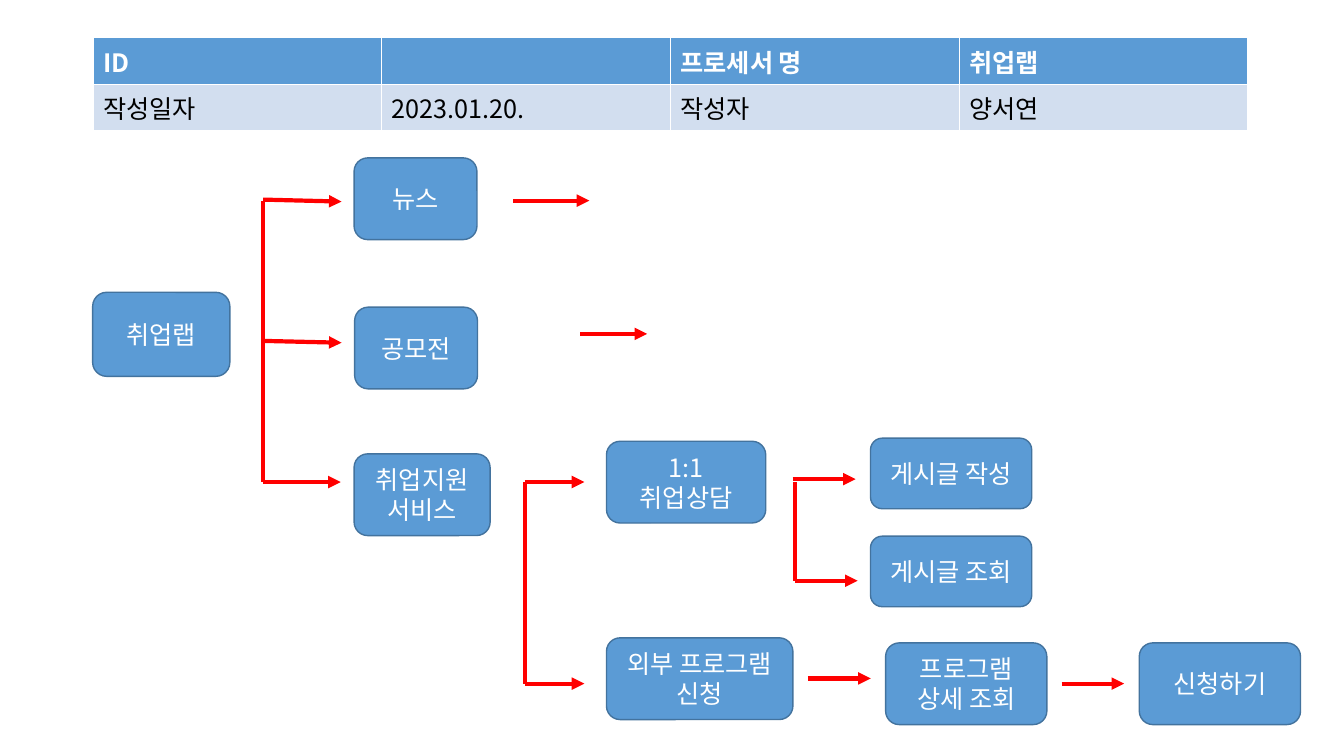
"""Build the process flow slide of a job support site."""
import dataclasses

import lxml.etree
import pptx
import pptx.dml.color
import pptx.enum.shapes
import pptx.enum.text
import pptx.oxml.ns
import pptx.util

Pt = pptx.util.Pt
qn = pptx.oxml.ns.qn


@dataclasses.dataclass(frozen=True)
class Theme:
    font: str = "Noto Sans CJK KR"
    size: int = 18
    blue: str = "5B9BD5"
    edge: str = "43739E"
    pale: str = "D2DEEF"
    white: str = "FFFFFF"
    black: str = "000000"
    red: str = "FF0000"
    thin: int = 1
    thick: int = 3


class Board:
    def __init__(self, slide, theme):
        self.slide = slide
        self.theme = theme

    def paint(self, fill, color):
        fill.solid()
        fill.fore_color.rgb = pptx.dml.color.RGBColor.from_string(color)

    def label(self, frame, text, color, bold=False):
        frame.text = text
        para = frame.paragraphs[0]
        para.font.size = Pt(self.theme.size)
        for run in para.runs:
            run.font.size = Pt(self.theme.size)
            run.font.name = self.theme.font
            run.font.bold = bold
            self.paint(run.font.fill, color)
            east = lxml.etree.SubElement(run._r.get_or_add_rPr(), qn("a:ea"))
            east.set("typeface", self.theme.font)

    def table(self, rows, left, top, width, heights):
        frame = self.slide.shapes.add_table(
            len(rows), len(rows[0]), Pt(left), Pt(top), Pt(width), Pt(sum(heights)))
        grid = frame.table
        for i, row in enumerate(rows):
            grid.rows[i].height = Pt(heights[i])
            head = i == 0
            for j, text in enumerate(row):
                cell = grid.cell(i, j)
                self.paint(cell.fill, self.theme.blue if head else self.theme.pale)
                self.label(cell.text_frame, text,
                           self.theme.white if head else self.theme.black, head)

    def box(self, text, left, top, width, height):
        shape = self.slide.shapes.add_shape(
            pptx.enum.shapes.MSO_SHAPE.ROUNDED_RECTANGLE,
            Pt(left), Pt(top), Pt(width), Pt(height))
        shape.shadow.inherit = False
        self.paint(shape.fill, self.theme.blue)
        self.paint(shape.line.fill, self.theme.edge)
        shape.line.width = Pt(self.theme.thin)
        frame = shape.text_frame
        frame.word_wrap = True
        frame.vertical_anchor = pptx.enum.text.MSO_ANCHOR.MIDDLE
        self.label(frame, text, self.theme.white)
        frame.paragraphs[0].alignment = pptx.enum.text.PP_ALIGN.CENTER

    def line(self, x1, y1, x2, y2, arrow=False):
        link = self.slide.shapes.add_connector(
            pptx.enum.shapes.MSO_CONNECTOR.STRAIGHT, Pt(x1), Pt(y1), Pt(x2), Pt(y2))
        self.paint(link.line.fill, self.theme.red)
        link.line.width = Pt(self.theme.thick)
        if arrow:
            tip = lxml.etree.SubElement(link.line._get_or_add_ln(), qn("a:tailEnd"))
            tip.set("type", "triangle")
        lxml.etree.SubElement(link._element.spPr, qn("a:effectLst"))


HEAD = [
    ["ID", "", "프로세서 명", "취업랩"],
    ["작성일자", "2023.01.20.", "작성자", "양서연"],
]
TALL, LOW = 58.4, 50.4
BOXES = [
    ("취업랩", 66.2, 208.8, 98, 60),
    ("뉴스", 252.9, 112.8, 87.8, TALL),
    ("공모전", 253.3, 219.4, 87.8, TALL),
    ("취업지원서비스", 252.9, 324.2, 97.2, TALL),
    ("1:1 취업상담", 433.2, 315.2, 113.8, TALL),
    ("외부 프로그램 신청", 433.2, 455.6, 133.2, TALL),
    ("게시글 작성", 621.8, 313, 115.2, LOW),
    ("게시글 조회", 621.8, 383, 115.2, LOW),
    ("프로그램 상세 조회", 632.6, 459.2, 115.2, TALL),
    ("신청하기", 813.8, 459.2, 115.2, TALL),
]
TRUNKS = [
    (188, 143.3, 188, 344.3),
    (375, 344.3, 375, 488.3),
    (567.6, 344.3, 567.6, 414.8),
]
ARROWS = [
    (188, 142.6, 244, 144),
    (188, 243.5, 244, 244.8),
    (188, 344.3, 243.4, 344.3),
    (366.7, 143.3, 421, 143.3),
    (414.5, 238.5, 462.3, 238.5),
    (375, 344.3, 417.4, 344.3),
    (375, 488.3, 417.4, 488.3),
    (566.2, 342.2, 611.2, 342.2),
    (567.6, 414.8, 612.6, 414.8),
    (577, 484.6, 622, 484.6),
    (758.4, 488.3, 803, 488.3),
]


def main():
    deck = pptx.Presentation()
    deck.slide_width, deck.slide_height = Pt(960), Pt(540)
    board = Board(deck.slides.add_slide(deck.slide_layouts[6]), Theme())
    board.table(HEAD, 66.4, 27, 825, [31, 29.5])
    for trunk in TRUNKS:
        board.line(*trunk)
    for arrow in ARROWS:
        board.line(*arrow, arrow=True)
    for box in BOXES:
        board.box(*box)
    deck.save("out.pptx")


if __name__ == "__main__":
    main()
